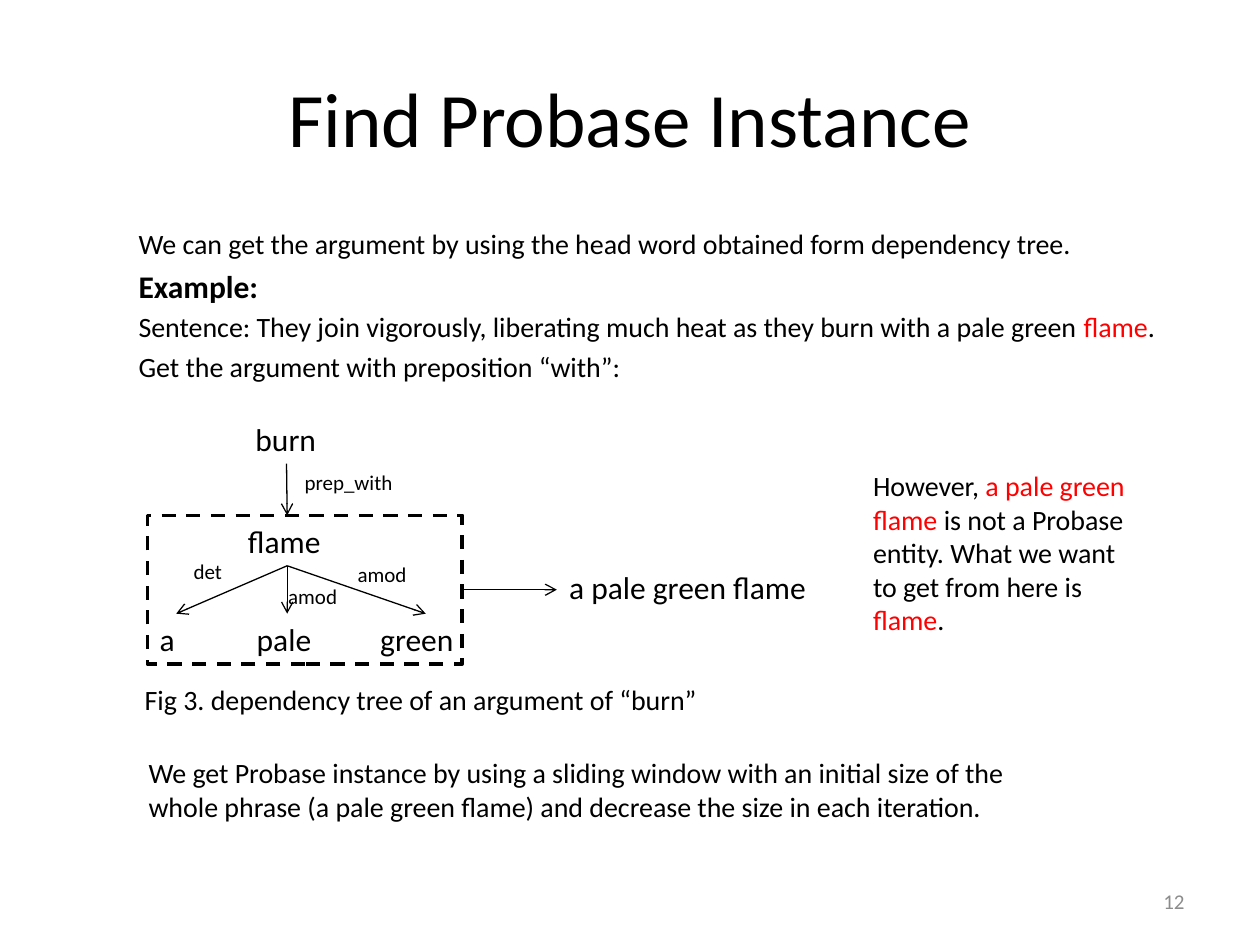
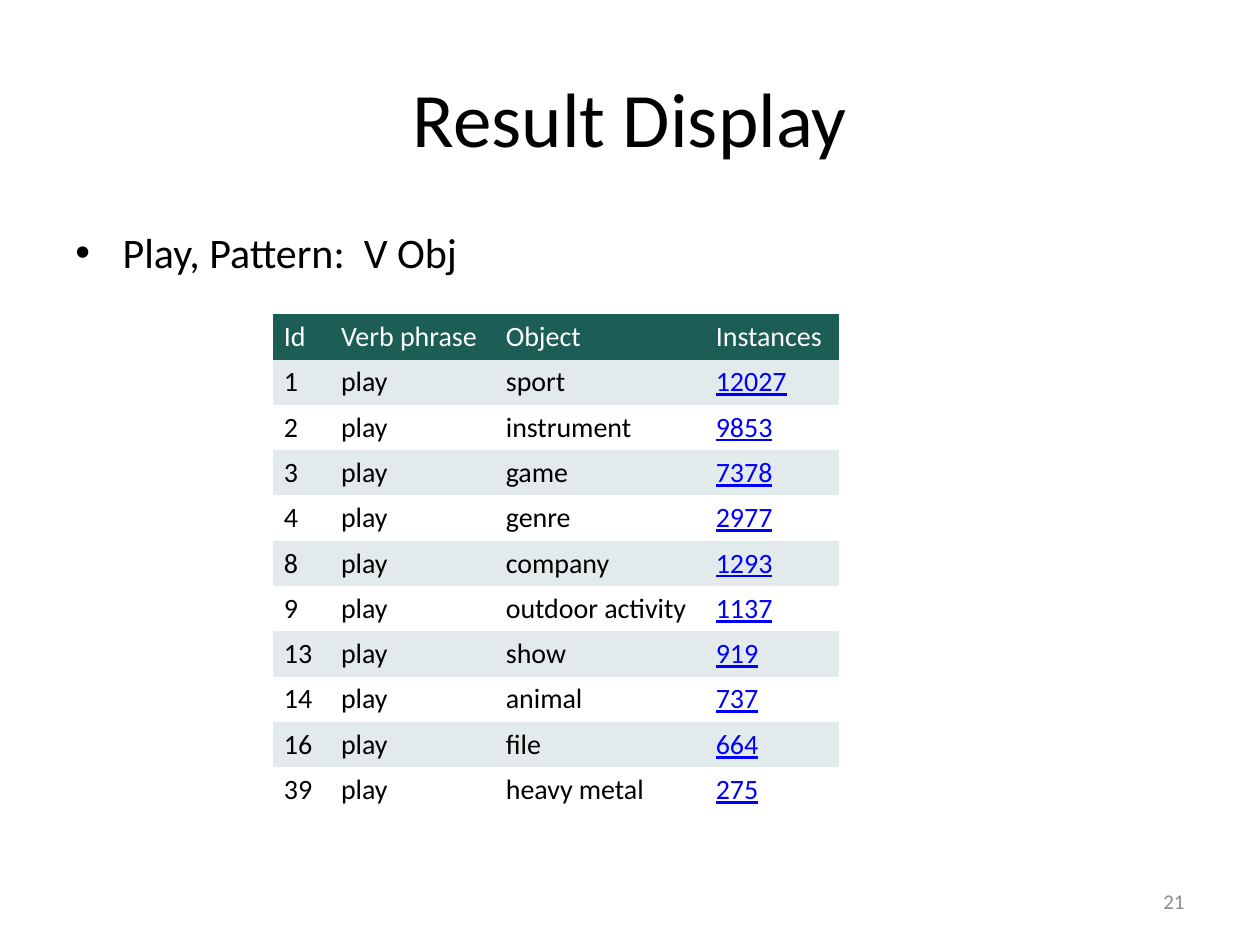
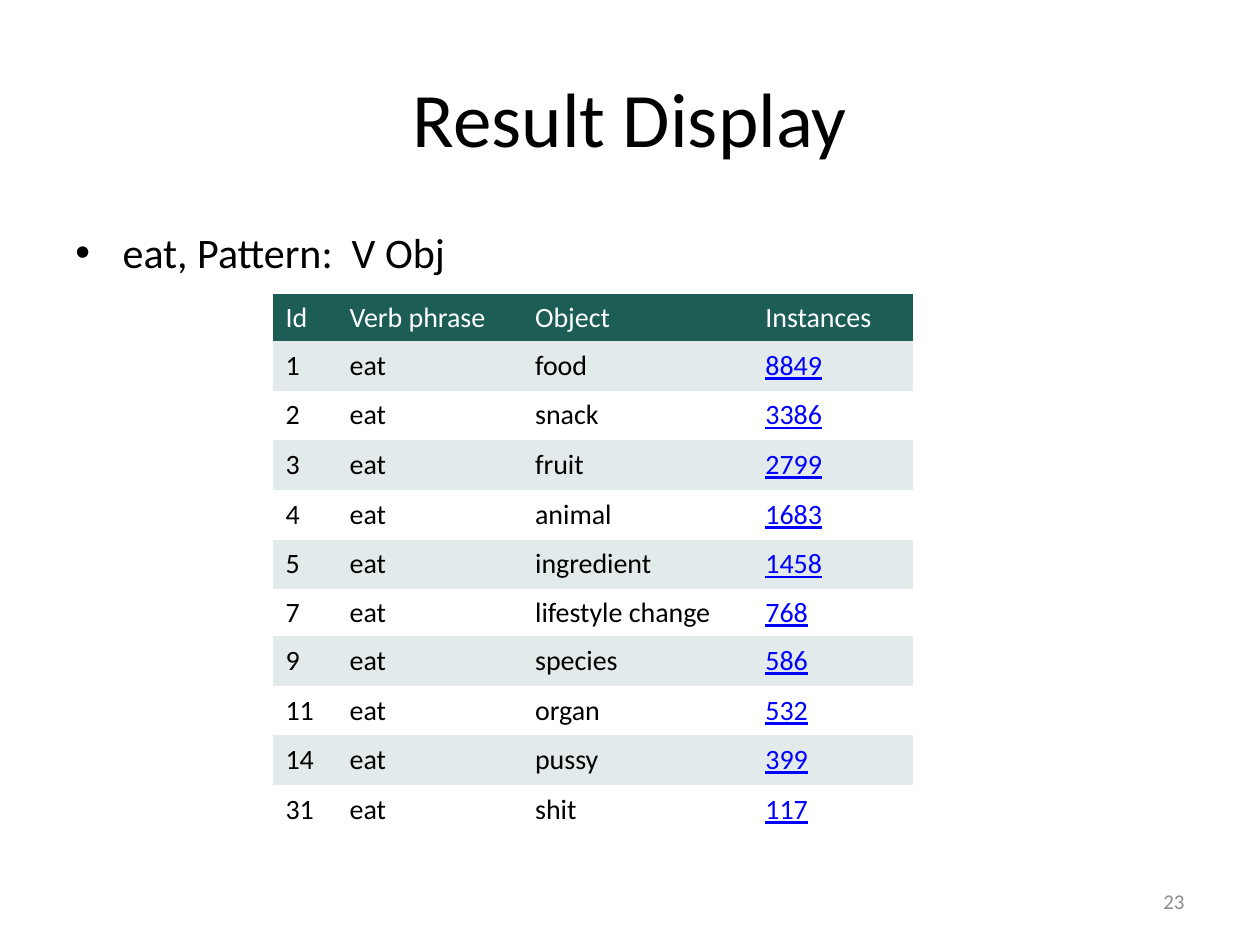
from dataclasses import dataclass
from lxml.etree import SubElement
from pptx import Presentation
from pptx.dml.color import RGBColor
from pptx.enum.dml import MSO_LINE
from pptx.enum.shapes import MSO_CONNECTOR, MSO_SHAPE
from pptx.enum.text import MSO_ANCHOR, PP_ALIGN
from pptx.oxml.ns import qn
from pptx.util import Pt


@dataclass(frozen=True)
class Theme:
    font: str = "Calibri"
    ink: str = "000000"
    paper: str = "FFFFFF"
    accent: str = "FF0000"
    number: str = "8C8C8C"
    link: str = "0000FF"
    header: str = "1C5E55"
    band: str = "E3EAEB"
    title_size: int = 44
    bullet_size: int = 24
    word_size: int = 18
    text_size: int = 16
    label_size: int = 12


THEME = Theme()
TITLE_BOX = (36, 21.6, 648, 90)
BODY_BOX = (36, 126, 648, 356.4)
NUMBER_BOX = (516, 500.4, 168, 28.8)
HEADINGS = ["Id", "Verb phrase", "Object", "Instances"]


def apply(target, values):
    for name, value in values.items():
        setattr(target, name, value)


def style_font(font, size, color, **values):
    apply(font, {"name": THEME.font, "size": Pt(size), "bold": False, **values})
    font.color.rgb = RGBColor.from_string(color)


def write_runs(paragraph, runs, size, color=THEME.ink, **values):
    for run in runs:
        words, run_color = (run, color) if isinstance(run, str) else run
        part = paragraph.add_run()
        part.text = words
        style_font(part.font, size, run_color, **values)


def add_text(slide, box, runs, size, color=THEME.ink, align=PP_ALIGN.LEFT, **frame_values):
    holder = slide.shapes.add_textbox(*map(Pt, box))
    apply(holder.text_frame, {"word_wrap": True, **frame_values})
    paragraph = holder.text_frame.paragraphs[0]
    paragraph.alignment = align
    write_runs(paragraph, runs, size, color)
    return holder


def start_slide(deck, title, number):
    slide = deck.slides.add_slide(deck.slide_layouts[6])
    middle = MSO_ANCHOR.MIDDLE
    add_text(slide, TITLE_BOX, [title], THEME.title_size,
             align=PP_ALIGN.CENTER, vertical_anchor=middle)
    add_text(slide, NUMBER_BOX, [str(number)], THEME.label_size, THEME.number,
             PP_ALIGN.RIGHT, vertical_anchor=middle)
    return slide


def add_arrow(slide, start, end, source, source_side, target=None, target_side=0):
    arrow = slide.shapes.add_connector(MSO_CONNECTOR.STRAIGHT, *map(Pt, start + end))
    arrow.begin_connect(source, source_side)
    if target is not None:
        arrow.end_connect(target, target_side)
    arrow.line.width = Pt(0.75)
    arrow.line.color.rgb = RGBColor.from_string(THEME.ink)
    SubElement(arrow.line._get_or_add_ln(), qn("a:tailEnd"), type="arrow")
    SubElement(arrow._element.spPr, qn("a:effectLst"))


def add_introduction(slide, box):
    introduction = slide.shapes.add_textbox(*map(Pt, box))
    frame = introduction.text_frame
    apply(frame, {"word_wrap": True, "margin_left": Pt(43.2)})
    lines = [
        (["We can get the argument by using the head word obtained form dependency tree."],
         THEME.text_size, False),
        (["Example:"], THEME.word_size, True),
        (["Sentence: They join vigorously, liberating much heat as they burn with a pale green ",
          ("flame", THEME.accent), "."], THEME.text_size, False),
        (["Get the argument with preposition “with”:"], THEME.text_size, False),
    ]
    for index, (runs, size, bold) in enumerate(lines):
        paragraph = frame.add_paragraph() if index else frame.paragraphs[0]
        if index:
            paragraph.space_before = Pt(0.2 * size)
        write_runs(paragraph, runs, size, bold=bold)


def add_dependency_tree(slide, left, top):
    def add_word(word, x, y, width, size=THEME.word_size):
        return add_text(slide, (left + x, top + y, width, size * 1.2 + 7.2), [word], size,
                        word_wrap=False)

    burn = add_word("burn", 54.7, 0, 49.7)
    flame = add_word("flame", 50.4, 58.3, 59)
    leaves = [add_word(word, x, 114.5, width)
              for word, x, width in [("a", 0, 33), ("pale", 55.4, 49), ("green", 126, 66.2)]]
    for relation, x, y, width in [("prep_with", 82.8, 28.8, 64.8), ("det", 19.4, 79.2, 31),
                                  ("amod", 113, 81.4, 42.5), ("amod", 73.4, 93.6, 42.5)]:
        add_word(relation, x, y, width, THEME.label_size)
    add_word("a pale green flame", 234, 85, 153.4)

    phrase_frame = slide.shapes.add_shape(
        MSO_SHAPE.RECTANGLE, *map(Pt, (left, top + 58.3, 180, 85)))
    phrase_frame.shadow.inherit = False
    phrase_frame.fill.background()
    phrase_frame.line.color.rgb = RGBColor.from_string(THEME.ink)
    apply(phrase_frame.line, {"width": Pt(2), "dash_style": MSO_LINE.DASH})

    origin = (left, top)
    add_arrow(slide, origin, origin, burn, 2, flame, 0)
    for leaf in leaves:
        add_arrow(slide, origin, origin, flame, 2, leaf, 0)
    add_arrow(slide, origin, (left + 234, top + 100.8), phrase_frame, 3)


def build_instance_slide(deck):
    slide = start_slide(deck, "Find Probase Instance", 12)
    add_introduction(slide, BODY_BOX)
    add_dependency_tree(slide, 84.2, 236.2)
    add_text(slide, (491.8, 264.2, 168, 104.4),
             ["However, ", ("a pale green flame", THEME.accent),
              " is not a Probase entity. What we want to get from here is ",
              ("flame", THEME.accent), "."], THEME.text_size)
    add_text(slide, (77.8, 428.4, 545.8, 46),
             ["We get Probase instance by using a sliding window with an initial size of the "
              "whole phrase (a pale green flame) and decrease the size in each iteration."],
             THEME.text_size)
    add_text(slide, (75.6, 386.6, 334, 26.6),
             ["Fig 3. dependency tree of an argument of “burn”"], THEME.text_size,
             word_wrap=False)


def add_pattern(slide, box, pattern):
    holder = slide.shapes.add_textbox(*map(Pt, box))
    holder.text_frame.word_wrap = True
    paragraph = holder.text_frame.paragraphs[0]
    properties = paragraph._p.get_or_add_pPr()
    apply_indent = {"marL": Pt(27), "indent": -Pt(27)}
    for name, value in apply_indent.items():
        properties.set(name, str(value))
    SubElement(properties, qn("a:buFont"), typeface="Arial")
    SubElement(properties, qn("a:buChar"), char="•")
    write_runs(paragraph, [pattern], THEME.bullet_size)


def add_results(slide, left, top, widths, heights, margins, verb, results):
    rows = [HEADINGS] + [[number, verb, noun, count] for number, noun, count in results]
    frame = slide.shapes.add_table(len(rows), len(widths),
                                   *map(Pt, (left, top, sum(widths), sum(heights))))
    table = frame.table
    apply(table, {"first_row": False, "horz_banding": False})
    style_id = next(frame._element.iter(qn("a:tableStyleId")))
    style_id.text = "{2D5ABB26-0587-4C30-8999-92F81FD0307C}"
    for column, width in zip(table.columns, widths):
        column.width = Pt(width)
    side, edge = map(Pt, margins)
    cell_format = {"margin_left": side, "margin_right": side, "margin_top": edge,
                   "margin_bottom": edge, "vertical_anchor": MSO_ANCHOR.MIDDLE}
    for row, (values, height) in enumerate(zip(rows, heights)):
        table.rows[row].height = Pt(height)
        fill = THEME.header if row == 0 else THEME.band if row % 2 else THEME.paper
        for column, value in enumerate(values):
            cell = table.cell(row, column)
            apply(cell, cell_format)
            cell.fill.solid()
            cell.fill.fore_color.rgb = RGBColor.from_string(fill)
            linked = row > 0 and column == len(values) - 1
            color = THEME.paper if row == 0 else THEME.link if linked else THEME.ink
            write_runs(cell.text_frame.paragraphs[0], [str(value)], THEME.text_size, color,
                       underline=linked)


def build_result_slide(deck, number, pattern, **results):
    slide = start_slide(deck, "Result Display", number)
    add_pattern(slide, BODY_BOX, pattern)
    add_results(slide, 156, **results)


def main():
    deck = Presentation()
    apply(deck, {"slide_width": Pt(720), "slide_height": Pt(540)})
    build_instance_slide(deck)
    build_result_slide(
        deck, 21, "Play, Pattern:  V Obj", top=179.6, verb="play",
        widths=[32.6, 94.2, 120, 76.6], heights=[25.9] * 11, margins=(6.3, 3.2),
        results=[(1, "sport", 12027), (2, "instrument", 9853), (3, "game", 7378),
                 (4, "genre", 2977), (8, "company", 1293), (9, "outdoor activity", 1137),
                 (13, "show", 919), (14, "animal", 737), (16, "file", 664),
                 (39, "heavy metal", 275)])
    build_result_slide(
        deck, 23, "eat, Pattern:  V Obj", top=168, verb="eat",
        widths=[36.6, 106, 131.6, 91.6], margins=(7.2, 3.6),
        heights=[26.8] + [28.4] * 5 + [26.8] + [28.4] * 4,
        results=[(1, "food", 8849), (2, "snack", 3386), (3, "fruit", 2799),
                 (4, "animal", 1683), (5, "ingredient", 1458), (7, "lifestyle change", 768),
                 (9, "species", 586), (11, "organ", 532), (14, "pussy", 399),
                 (31, "shit", 117)])
    deck.save("out.pptx")


if __name__ == "__main__":
    main()
